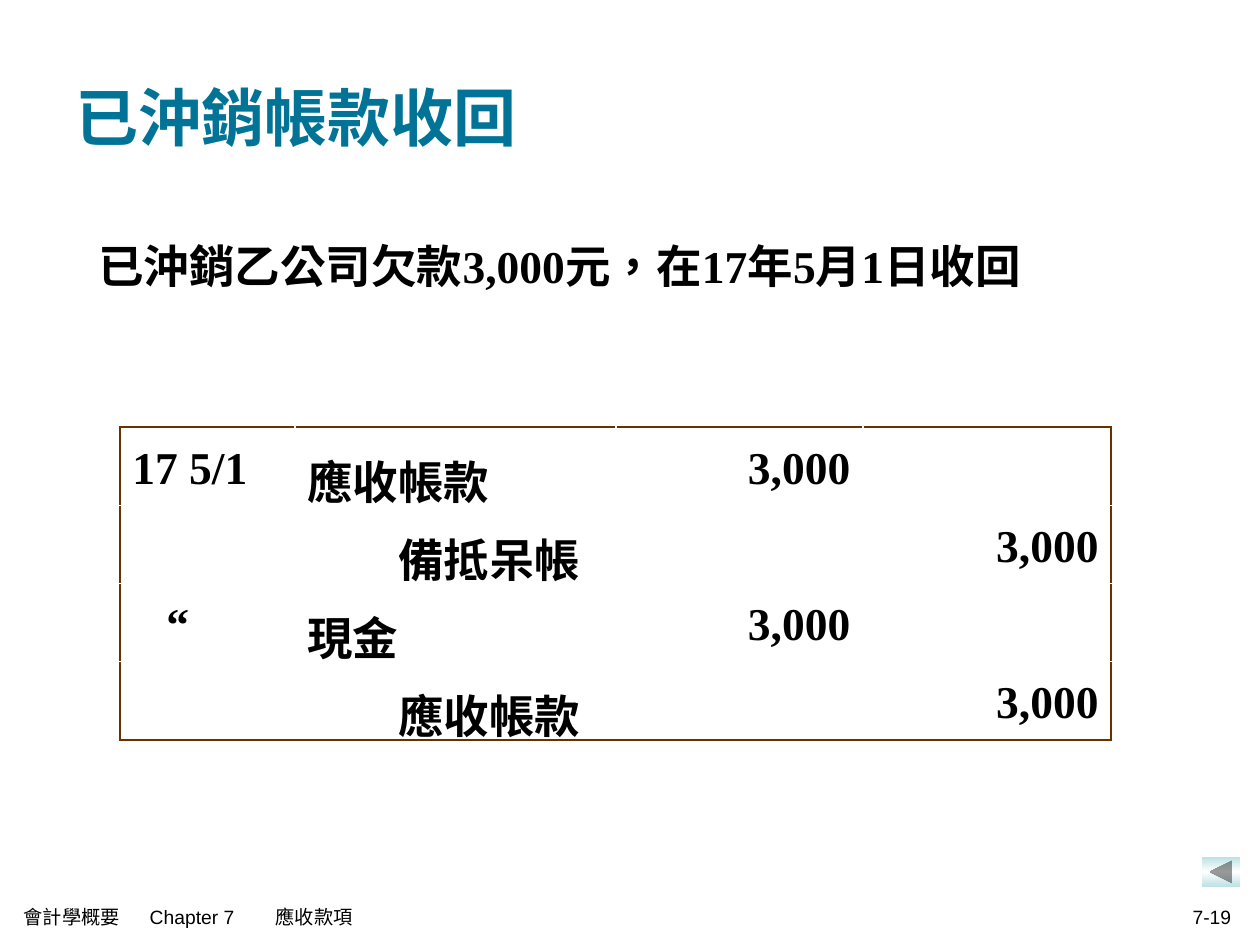
"""Build the slide on collecting a written-off account, laid out on a 100 by 75 grid."""
from copy import deepcopy
from dataclasses import dataclass

from lxml import etree
from pptx import Presentation
from pptx import util as u
from pptx.dml.color import RGBColor
from pptx.enum import lang, shapes, text
from pptx.oxml.ns import qn

COLORS = {"title": "007396", "ink": "000000", "border": "663300",
          "button": "BBE0E3", "shine": "FFFFFF"}
COLS, ROWS = 100, 75
LEFT, RIGHT = text.PP_ALIGN.LEFT, text.PP_ALIGN.RIGHT
TOP, MIDDLE = text.MSO_ANCHOR.TOP, text.MSO_ANCHOR.MIDDLE
SERIF = {"name": "Times New Roman", "size": u.Pt(26), "bold": True}
TITLE = SERIF | {"size": u.Pt(36)}
FOOTER = {"name": "Arial", "size": u.Pt(11), "bold": False}
ENTRY_SPACING = {"line_spacing": 1.2, "space_before": u.Pt(6.5)}

prs = Presentation()
prs.slide_width, prs.slide_height = u.Inches(10), u.Inches(7.5)


def across(cols: float) -> int:
    """Return the width of some grid columns."""
    return round(prs.slide_width * cols / COLS)


def down(rows: float) -> int:
    """Return the height of some grid rows."""
    return round(prs.slide_height * rows / ROWS)


@dataclass(frozen=True)
class Box:
    """A rectangle in grid columns and rows."""
    col: float
    row: float
    width: float
    height: float

    def emu(self) -> tuple[int, int, int, int]:
        """Return left, top, width and height as lengths."""
        return across(self.col), down(self.row), across(self.width), down(self.height)


@dataclass(frozen=True)
class Label:
    """A line of text with its place and format."""
    box: Box
    words: str
    font: dict
    align: text.PP_ALIGN = LEFT
    anchor: text.MSO_ANCHOR = MIDDLE
    indent: float = 0
    spacing: float = 1
    tabs: tuple[float, ...] = ()


@dataclass(frozen=True)
class Entry:
    """A filled cell of the journal."""
    row: int
    col: int
    words: str
    indent: float = 0


LABELS = [
    Label(Box(5, 17.5, 90, 49.5), "已沖銷乙公司欠款3,000元，在17年5月1日收回",
          SERIF, anchor=TOP, indent=1.8, spacing=1.2),
    Label(Box(0.9, 71.1, 51, 3.3), "會計學概要\tChapter 7\t應收款項", FOOTER, tabs=(9.1, 17)),
    Label(Box(67.2, 71.1, 31.5, 3.3), "7-19", FOOTER, align=RIGHT),
]
JOURNAL = Box(9.5, 33.9, 78.7, 24.8)
JOURNAL_COLS = (13.9, 25.5, 19.6, 19.7)
JOURNAL_ROWS = 4
ENTRIES = [
    Entry(0, 0, "17 5/1"), Entry(0, 1, "應收帳款"), Entry(0, 2, "3,000"),
    Entry(1, 1, "備抵呆帳", 7.2), Entry(1, 3, "3,000"),
    Entry(2, 0, "“", 2.7), Entry(2, 1, "現金"), Entry(2, 2, "3,000"),
    Entry(3, 1, "應收帳款", 7.2), Entry(3, 3, "3,000"),
]


def apply(obj, values: dict) -> None:
    """Set attributes from a dict of format values."""
    for name, value in values.items():
        setattr(obj, name, value)


def write(p, words: str, font: dict, color: str = "ink", indent: float = 0,
          tabs: tuple[float, ...] = ()) -> None:
    """Write one formatted run into a paragraph."""
    pPr = p._p.get_or_add_pPr()
    apply_margin = {"marL": across(indent), "indent": 0}
    for name, value in apply_margin.items():
        pPr.set(name, str(value))
    if tabs:
        stops = etree.SubElement(pPr, qn("a:tabLst"))
        for stop in tabs:
            etree.SubElement(stops, qn("a:tab"), pos=str(across(stop)), algn="l")
    r = p.add_run()
    r.text = words
    apply(r.font, font | {"language_id": lang.MSO_LANGUAGE_ID.TRADITIONAL_CHINESE})
    r.font.color.rgb = RGBColor.from_string(COLORS[color])


def draw_title(s, box: Box, words: str) -> None:
    """Move and format the title placeholder."""
    sp = s.shapes.title
    apply(sp, dict(zip(("left", "top", "width", "height"), box.emu())))
    apply(sp.text_frame, {"vertical_anchor": MIDDLE, "word_wrap": True})
    p = sp.text_frame.paragraphs[0]
    write(p, words, TITLE, "title")
    p.alignment = LEFT


def draw_label(s, label: Label) -> None:
    """Draw a text box."""
    tf = s.shapes.add_textbox(*label.box.emu()).text_frame
    apply(tf, {"word_wrap": True, "vertical_anchor": label.anchor})
    p = tf.paragraphs[0]
    write(p, label.words, label.font, indent=label.indent, tabs=label.tabs)
    apply(p, {"alignment": label.align, "line_spacing": label.spacing})


def draw_border(cell, side: str) -> None:
    """Rule one side of a cell."""
    ln = etree.SubElement(cell._tc.get_or_add_tcPr(), qn(f"a:ln{side}"), w=str(u.Pt(1.08)))
    fill = etree.SubElement(ln, qn("a:solidFill"))
    etree.SubElement(fill, qn("a:srgbClr"), val=COLORS["border"])


def draw_journal(s) -> None:
    """Draw the journal as a table ruled on its outside only."""
    last_row, last_col = JOURNAL_ROWS - 1, len(JOURNAL_COLS) - 1
    table = s.shapes.add_table(JOURNAL_ROWS, len(JOURNAL_COLS), *JOURNAL.emu()).table
    apply(table, {"first_row": False, "horz_banding": False})
    for column, width in zip(table.columns, JOURNAL_COLS):
        column.width = across(width)
    for i in range(JOURNAL_ROWS):
        for j in range(len(JOURNAL_COLS)):
            cell = table.cell(i, j)
            edges = {"L": j == 0, "R": j == last_col, "T": i == 0, "B": i == last_row}
            for side, outer in edges.items():
                if outer:
                    draw_border(cell, side)
            cell.fill.background()
    for entry in ENTRIES:
        p = table.cell(entry.row, entry.col).text_frame.paragraphs[0]
        write(p, entry.words, SERIF, indent=entry.indent)
        apply(p, ENTRY_SPACING | {"alignment": RIGHT if entry.col > 1 else LEFT})


def draw_back_button(s, box: Box) -> None:
    """Draw the back button with a gradient that shines in the middle."""
    kind = shapes.MSO_SHAPE.ACTION_BUTTON_BACK_OR_PREVIOUS
    sp = s.shapes.add_shape(kind, *box.emu())
    sp.shadow.inherit = False
    sp.line.fill.background()
    sp.fill.gradient()
    sp.fill.gradient_angle = 90
    first = sp._element.spPr.find(".//" + qn("a:gs"))
    first.addnext(deepcopy(first))
    for stop, position, color in zip(sp.fill.gradient_stops, (0, 0.5, 1),
                                     ("button", "shine", "button")):
        stop.position = position
        stop.color.rgb = RGBColor.from_string(COLORS[color])


def main() -> None:
    """Build and save the slide."""
    s = prs.slides.add_slide(prs.slide_layouts[5])
    draw_title(s, Box(5, 3, 90, 12.5), "已沖銷帳款收回")
    body, *footers = LABELS
    draw_label(s, body)
    draw_journal(s)
    draw_back_button(s, Box(95.4, 68, 3, 2.4))
    for label in footers:
        draw_label(s, label)
    prs.save("out.pptx")


if __name__ == "__main__":
    main()
